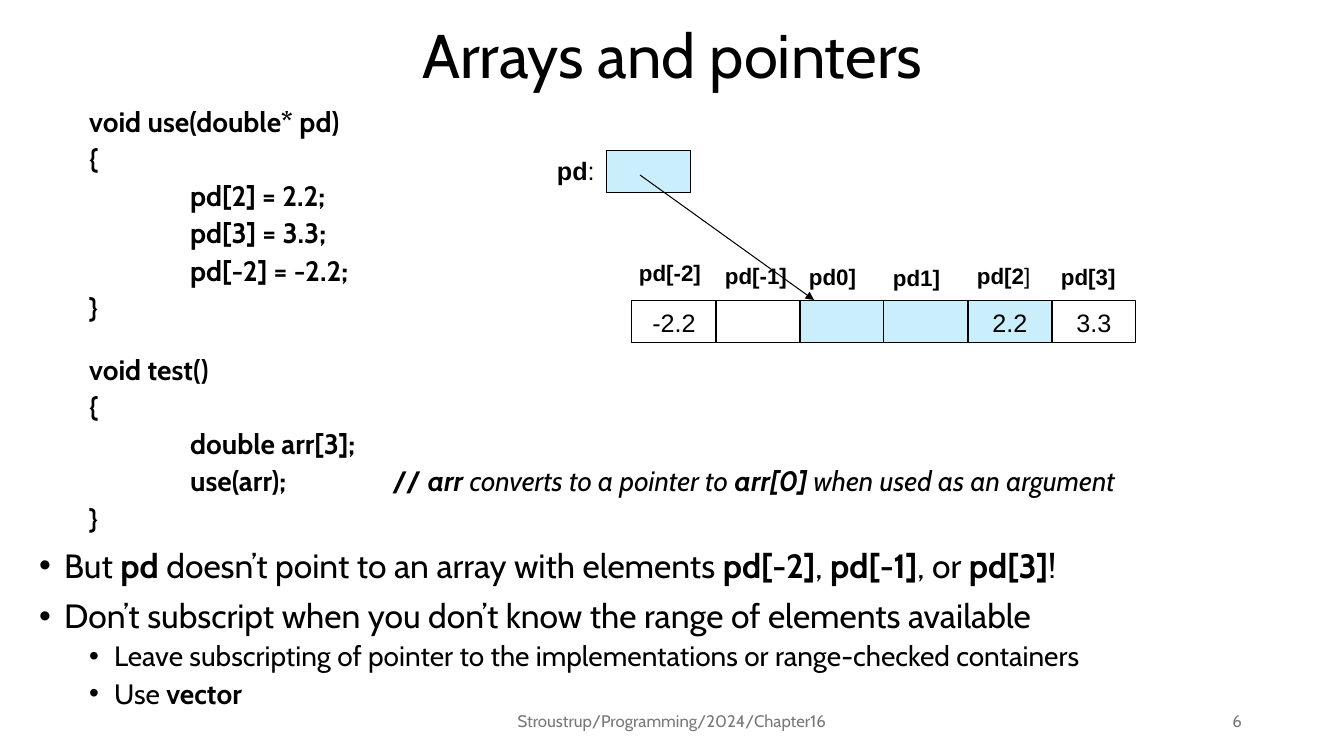
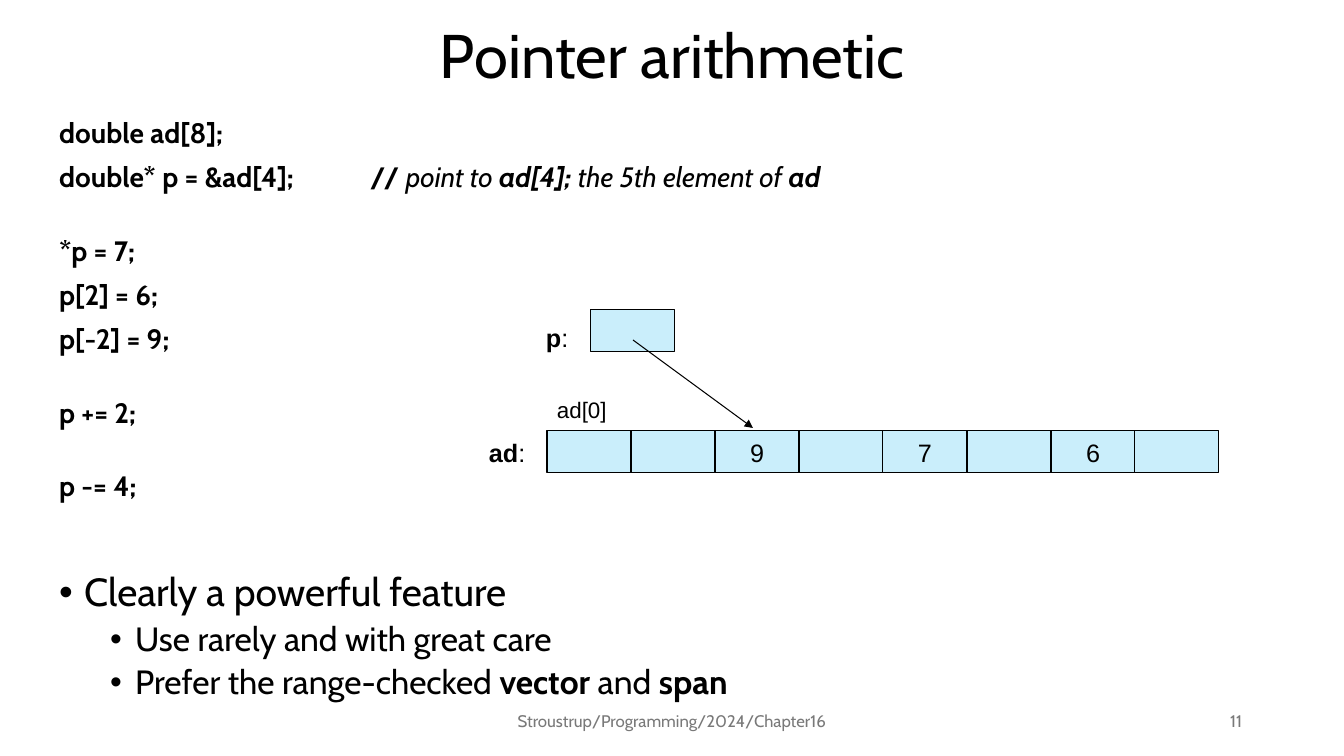
from lxml.etree import SubElement
from pptx import Presentation
from pptx.dml.color import RGBColor
from pptx.enum.shapes import MSO_CONNECTOR as CONN, MSO_SHAPE as SHAPE
from pptx.enum.text import MSO_ANCHOR as ANCHOR, MSO_AUTO_SIZE as FIT, PP_ALIGN as ALIGN
from pptx.oxml.ns import qn
from pptx.util import Pt

BLACK = RGBColor(0x00, 0x00, 0x00)
GRAY = RGBColor(0x79, 0x79, 0x79)
LIGHT_BLUE = RGBColor(0xCA, 0xEE, 0xFB)
HEAD_FONT, DIAGRAM_FONT = "Cabin", "Arial"
SLIDE_W, SLIDE_H = 1344, 756
EMU_PER_PX = 12192000 / SLIDE_W
CELL_W, CELL_H = 84, 42
TITLE_BOX = (93, 15, 1159, 87)
FOOTER = "Stroustrup/Programming/2024/Chapter16"
FOOTER_BOX = (445, 701, 454, 40)
NUMBER_BOX = (950, 701, 302, 40)

PLAIN = {"bold": False, "italic": False}
BOLD = {"bold": True, "italic": False}
ITALIC = {"bold": False, "italic": True}
BOLD_ITALIC = {"bold": True, "italic": True}

CODE = {"level": 0, "size": 20, "before": 10, "margin": 0, "hang": 0, "bullet": False,
        "tab": 311, "base": BOLD}
BLOCK = CODE | {"level": 1, "before": 5, "margin": 50, "tab": 101}
BLOCK_GAP = BLOCK | {"before": 22.6}
CODE_GAP = CODE | {"before": 31}
POINT = {"level": 0, "size": 24, "before": 10, "margin": 25, "hang": -25, "bullet": True,
         "tab": 101, "base": PLAIN}
SUBPOINT = POINT | {"level": 1, "size": 20, "before": 5, "margin": 75}
BIG_POINT = POINT | {"size": 28, "before": 50}
BIG_SUBPOINT = SUBPOINT | {"size": 24, "margin": 76}

SLIDES = [
    {
        "title": "Arrays and pointers",
        "number": "6",
        "body_box": (29, 103, 1311, 553),
        "body": [
            (BLOCK, ["void use(double* pd)"]),
            (BLOCK, ["{"]),
            (BLOCK, ["\tpd[2] = 2.2;"]),
            (BLOCK, ["\tpd[3] = 3.3;"]),
            (BLOCK, ["\tpd[-2] = -2.2;"]),
            (BLOCK, ["}"]),
            (BLOCK_GAP, ["void test()"]),
            (BLOCK, ["{"]),
            (BLOCK, ["\tdouble arr[3];"]),
            (BLOCK, ["\tuse(arr);\t\t// ", ("arr", BOLD_ITALIC),
                     (" converts to a pointer to ", ITALIC), ("arr[0]", BOLD_ITALIC),
                     (" when used as an argument", ITALIC)]),
            (BLOCK, ["}"]),
            (POINT, ["But ", ("pd", BOLD), " doesn’t point to an array with elements ",
                     ("pd[-2]", BOLD), ",", (" pd[-1]", BOLD), ", or", (" pd[3]", BOLD), "!"]),
            (POINT, ["Don’t subscript when you don’t know the range of elements available"]),
            (SUBPOINT, ["Leave subscripting of pointer to the implementations "
                        "or range-checked containers"]),
            (SUBPOINT, ["Use ", ("vector", BOLD)]),
        ],
        "pointer": (607, 151),
        "row": (632, 301),
        "cells": [("-2.2", None), ("", None), ("", LIGHT_BLUE), ("", LIGHT_BLUE),
                  ("2.2", LIGHT_BLUE), ("3.3", None)],
        "labels": [
            (547, 150, 18, [("pd", BOLD), ":"]),
            (629, 254, 16, [("pd[-2]", BOLD)]),
            (715, 257, 16, [("pd[-1]", BOLD)]),
            (799, 258, 16, [("pd0]", BOLD)]),
            (883, 259, 16, [("pd1]", BOLD)]),
            (967, 257, 16, [("pd[2", BOLD), "]"]),
            (1051, 258, 16, [("pd[3]", BOLD)]),
        ],
        "arrow": (640, 175, 814, 300),
    },
    {
        "title": "Pointer arithmetic",
        "number": "11",
        "body_box": (49, 114, 1203, 157),
        "body": [
            (CODE, ["double ad[8];"]),
            (CODE, ["double* p = &ad[4];\t// ", ("point to ", ITALIC), ("ad[4]; ", BOLD_ITALIC),
                    ("the 5th element of ", ITALIC), ("ad", BOLD_ITALIC)]),
            (CODE_GAP, ["*p = 7;"]),
            (CODE, ["p[2] = 6;"]),
            (CODE, ["p[-2] = 9;"]),
            (CODE_GAP, ["p += 2;"]),
            (CODE_GAP, ["p -= 4;"]),
            (BIG_POINT, ["Clearly a powerful feature"]),
            (BIG_SUBPOINT, ["Use rarely and with great care"]),
            (BIG_SUBPOINT, ["Prefer the range-checked ", ("vector ", BOLD), "and ",
                            ("span", BOLD)]),
        ],
        "pointer": (591, 310),
        "row": (547, 431),
        "cells": [(v, LIGHT_BLUE) for v in ("", "", "9", "", "7", "", "6", "")],
        "labels": [
            (536, 317, 18, [("p", BOLD), ":"]),
            (479, 432, 18, [("ad", BOLD), ":"]),
            (547, 391, 16, ["ad[0]"]),
        ],
        "arrow": (633, 340, 753, 428),
    },
]


def px(n):
    return round(n * EMU_PER_PX)


def place(sp, box):
    for name, n in zip(("left", "top", "width", "height"), box):
        setattr(sp, name, px(n))


def set_frame(tf, **values):
    for name, value in ({"word_wrap": True, "auto_size": FIT.NONE} | values).items():
        setattr(tf, name, value)


def add_runs(p, runs, size, font, color=BLACK, base=PLAIN):
    for run in runs:
        text, style = (run, base) if isinstance(run, str) else run
        r = p.add_run()
        r.text = text
        for name, value in ({"name": font, "size": Pt(size)} | style).items():
            setattr(r.font, name, value)
        r.font.color.rgb = color


def add_text(s, box, runs, size, font, color=BLACK, align=ALIGN.LEFT, anchor=ANCHOR.TOP):
    tf = s.shapes.add_textbox(*map(px, box)).text_frame
    set_frame(tf, vertical_anchor=anchor)
    p = tf.paragraphs[0]
    p.alignment = align
    add_runs(p, runs, size, font, color)


def add_title(s, text):
    sp = s.shapes.title
    place(sp, TITLE_BOX)
    set_frame(sp.text_frame, vertical_anchor=ANCHOR.MIDDLE)
    p = sp.text_frame.paragraphs[0]
    p.alignment, p.line_spacing = ALIGN.CENTER, 0.9
    add_runs(p, [text], 44, HEAD_FONT)


def format_paragraph(p, style):
    p.level, p.line_spacing, p.space_before = style["level"], 0.9, Pt(style["before"])
    pPr = p._p.get_or_add_pPr()
    for name, key in (("marL", "margin"), ("indent", "hang"), ("defTabSz", "tab")):
        pPr.set(name, str(px(style[key])))
    if style["bullet"]:
        SubElement(pPr, qn("a:buFont"), typeface="Arial")
        SubElement(pPr, qn("a:buChar"), char="•")
    else:
        SubElement(pPr, qn("a:buNone"))


def add_body(s, box, lines):
    sp = s.placeholders[1]
    place(sp, box)
    tf = sp.text_frame
    set_frame(tf, vertical_anchor=ANCHOR.TOP)
    for i, (style, runs) in enumerate(lines):
        p = tf.add_paragraph() if i else tf.paragraphs[0]
        format_paragraph(p, style)
        add_runs(p, runs, style["size"], HEAD_FONT, base=style["base"])


def add_cell(s, x, y, text="", fill=LIGHT_BLUE):
    sp = s.shapes.add_shape(SHAPE.RECTANGLE, *map(px, (x, y, CELL_W, CELL_H)))
    sp.shadow.inherit = False
    if fill is None:
        sp.fill.background()
    else:
        sp.fill.solid()
        sp.fill.fore_color.rgb = fill
    sp.line.color.rgb, sp.line.width = BLACK, Pt(0.75)
    if text:
        set_frame(sp.text_frame, word_wrap=False, vertical_anchor=ANCHOR.MIDDLE)
        p = sp.text_frame.paragraphs[0]
        p.alignment = ALIGN.CENTER
        add_runs(p, [text], 18, DIAGRAM_FONT)


def add_arrow(s, ends):
    c = s.shapes.add_connector(CONN.STRAIGHT, *map(px, ends))
    c.line.color.rgb, c.line.width = BLACK, Pt(0.75)
    spPr = c._element.spPr
    SubElement(spPr.find(qn("a:ln")), qn("a:tailEnd"), type="triangle")
    SubElement(spPr, qn("a:effectLst"))


def add_slide(prs, data):
    s = prs.slides.add_slide(prs.slide_layouts[1])
    add_title(s, data["title"])
    add_body(s, data["body_box"], data["body"])
    for box, text, align in ((FOOTER_BOX, FOOTER, ALIGN.CENTER),
                             (NUMBER_BOX, data["number"], ALIGN.RIGHT)):
        add_text(s, box, [text], 12, HEAD_FONT, GRAY, align, ANCHOR.MIDDLE)
    add_cell(s, *data["pointer"])
    left, top = data["row"]
    for i, (text, fill) in enumerate(data["cells"]):
        add_cell(s, left + i * CELL_W, top, text, fill)
    for x, y, size, runs in data["labels"]:
        add_text(s, (x, y, CELL_W, 40), runs, size, DIAGRAM_FONT)
    add_arrow(s, data["arrow"])


def main():
    prs = Presentation()
    prs.slide_width, prs.slide_height = px(SLIDE_W), px(SLIDE_H)
    for data in SLIDES:
        add_slide(prs, data)
    prs.save("out.pptx")


if __name__ == "__main__":
    main()
